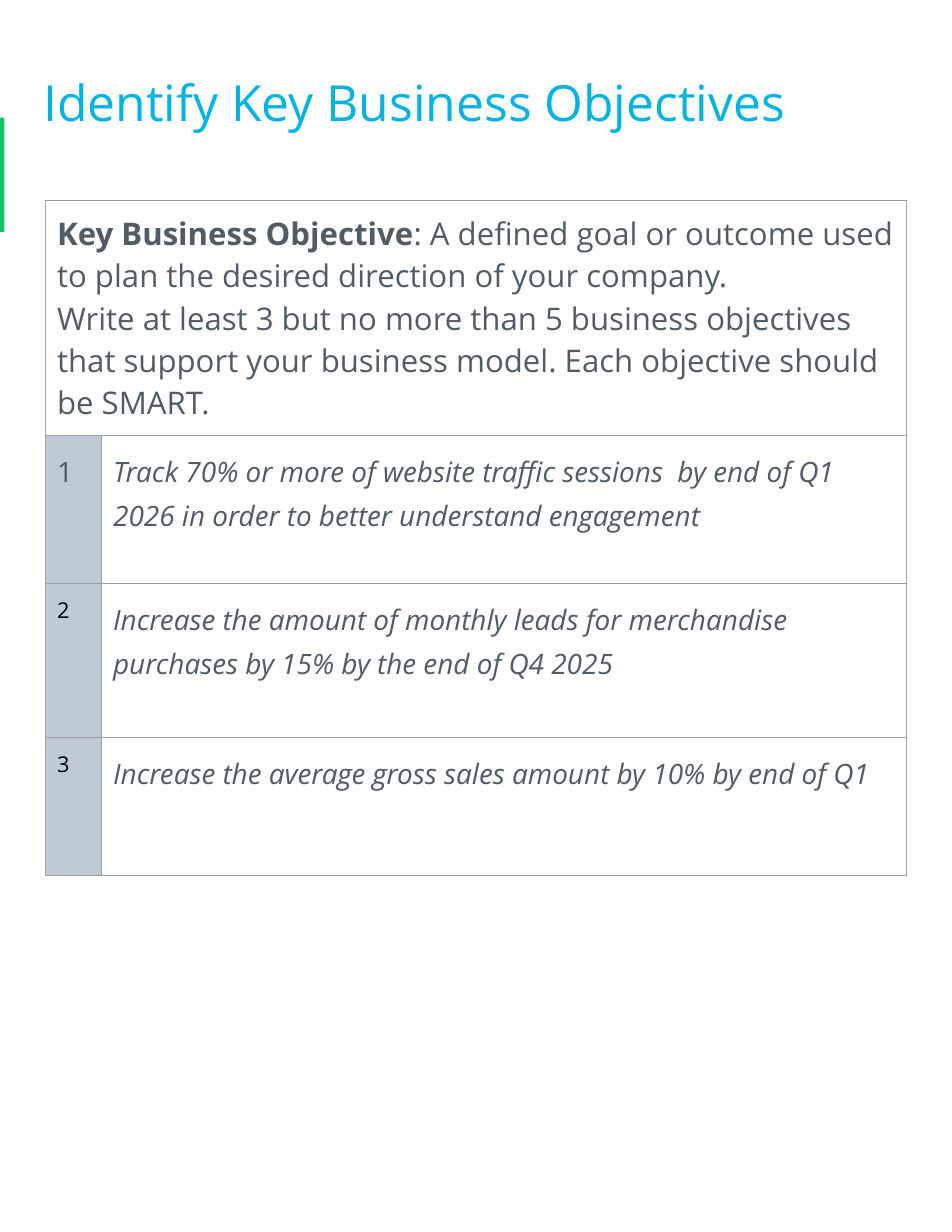
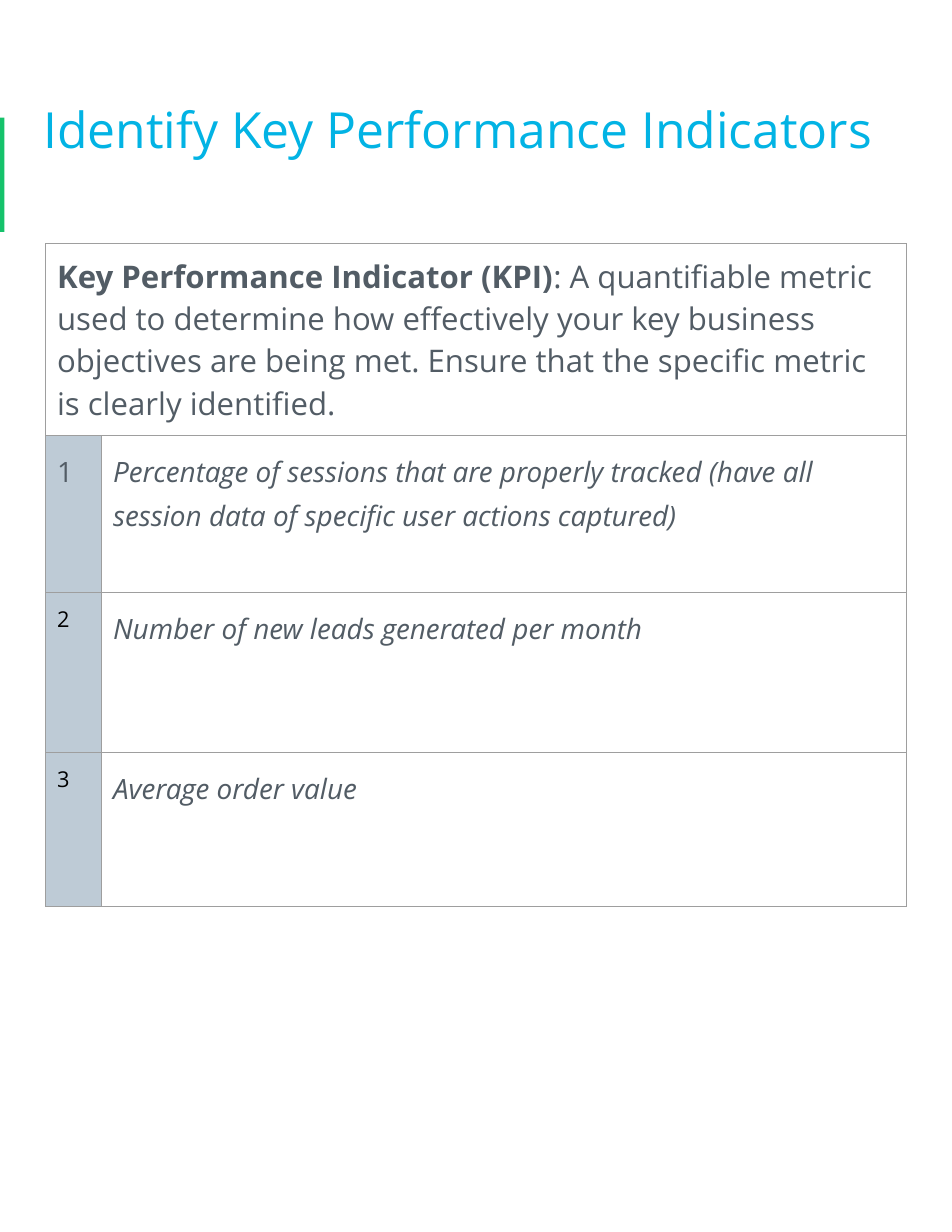
from lxml.etree import SubElement
from pptx import Presentation
from pptx.dml.color import RGBColor
from pptx.enum.shapes import MSO_SHAPE
from pptx.enum.text import MSO_ANCHOR
from pptx.oxml.ns import qn
from pptx.util import Inches, Pt

COLORS = {"title": "02B3E4", "accent": "15C26B", "text": "525C65",
          "number": "000000", "band": "BECBD6", "border": "9E9E9E"}
COLUMNS, ROWS = 85, 110
NUMBER_WIDTH, TEXT_WIDTH = 5, 71.8

WORKSHEETS = [
    {"title": "Identify Key Business Objectives", "title_top": 2.6,
     "table_top": 17.9, "heights": [21, 13.2, 13.75, 12.35],
     "term": "Key Business Objective",
     "definition": [
         ": A defined goal or outcome used to plan the desired direction of your company.",
         "Write at least 3 but no more than 5 business objectives that support your "
         "business model. Each objective should be SMART."],
     "answers": [
         "Track 70% or more of website traffic sessions  by end of Q1 2026 in order "
         "to better understand engagement",
         "Increase the amount of monthly leads for merchandise purchases by 15% by "
         "the end of Q4 2025",
         "Increase the average gross sales amount by 10% by end of Q1"]},
    {"title": "Identify Key Performance Indicators", "title_top": 5,
     "table_top": 21.75, "heights": [17.15, 14, 14.3, 13.75],
     "term": "Key Performance Indicator (KPI)",
     "definition": [
         ": A quantifiable metric used to determine how effectively your key business "
         "objectives are being met. Ensure that the specific metric is clearly identified."],
     "answers": [
         "Percentage of sessions that are properly tracked (have all session data of "
         "specific user actions captured)",
         "Number of new leads generated per month",
         "Average order value"]},
]


class Worksheet:
    """Holds the shared style and draws on the current slide."""

    font = "Open Sans"
    inset = Inches(0.1)

    def __init__(self, deck):
        self.deck = deck
        self.page = None

    def place(self, left, top, width, height):
        """Turn grid columns and rows into lengths."""
        across, down = self.deck.slide_width / COLUMNS, self.deck.slide_height / ROWS
        return [round(value * unit) for value, unit in
                zip((left, top, width, height), (across, down) * 2)]

    def new_page(self):
        """Start a slide with the accent bar at its left edge."""
        self.page = self.deck.slides.add_slide(self.deck.slide_layouts[6])
        bar = self.page.shapes.add_shape(MSO_SHAPE.RECTANGLE, *self.place(0, 10.5, 0.4, 10.2))
        bar.shadow.inherit = False
        bar.fill.solid()
        bar.fill.fore_color.rgb = RGBColor.from_string(COLORS["accent"])
        bar.line.fill.background()

    def style(self, para, size, color, spacing=1.0, italic=False):
        """Format every run of a paragraph."""
        para.line_spacing = spacing
        for span in para.runs:
            span.font.name = self.font
            span.font.size = Pt(size)
            span.font.italic = italic
            span.font.color.rgb = RGBColor.from_string(COLORS[color])

    def title(self, text, top):
        """Add the slide title."""
        box = self.page.shapes.add_textbox(*self.place(2.9, top, 79.2, 12.2))
        frame = box.text_frame
        frame.word_wrap = True
        frame.vertical_anchor = MSO_ANCHOR.MIDDLE
        frame.margin_left = frame.margin_right = self.inset
        frame.margin_top = frame.margin_bottom = self.inset
        frame.text = text
        self.style(frame.paragraphs[0], 32, "title", 1.15)

    def prepare(self, cell, fill=None):
        """Set the margins, borders and fill of a cell."""
        cell.margin_left = cell.margin_right = self.inset
        cell.margin_top = cell.margin_bottom = self.inset
        properties = cell._tc.get_or_add_tcPr()
        for side in "LRTB":
            line = SubElement(properties, qn(f"a:ln{side}"), w=str(Pt(0.75)))
            SubElement(SubElement(line, qn("a:solidFill")), qn("a:srgbClr"), val=COLORS["border"])
        if fill:
            cell.fill.solid()
            cell.fill.fore_color.rgb = RGBColor.from_string(COLORS[fill])
        else:
            cell.fill.background()

    def definition(self, cell, term, lines):
        """Write a bold term followed by its definition."""
        cell.vertical_anchor = MSO_ANCHOR.MIDDLE
        para = cell.text_frame.paragraphs[0]
        para.text = term
        para.runs[0].font.bold = True
        for index, line in enumerate(lines):
            if index:
                para.add_line_break()
            para.add_run().text = line
        self.style(para, 20, "text")

    def table(self, top, heights, term, definition, answers):
        """Add the definition row and the numbered answers."""
        area = self.place(4.1, top, NUMBER_WIDTH + TEXT_WIDTH, sum(heights))
        table = self.page.shapes.add_table(len(heights), 2, *area).table
        table.first_row = table.horz_banding = False
        for column, width in zip(table.columns, (NUMBER_WIDTH, TEXT_WIDTH)):
            column.width = self.place(0, 0, width, 0)[2]
        for row, height in zip(table.rows, heights):
            row.height = self.place(0, 0, 0, height)[3]
        heading, rest = table.cell(0, 0), table.cell(0, 1)
        heading.merge(rest)
        self.prepare(heading)
        self.prepare(rest)
        self.definition(heading, term, definition)
        for number, answer in enumerate(answers, 1):
            label, entry = table.cell(number, 0), table.cell(number, 1)
            self.prepare(label, "band")
            self.prepare(entry)
            label.text_frame.text = str(number)
            entry.text_frame.text = answer
            look = (18, "text", 1.15) if number == 1 else (14, "number")
            self.style(label.text_frame.paragraphs[0], *look)
            self.style(entry.text_frame.paragraphs[0], 18, "text", 1.15, italic=True)


def main():
    """Build and save the deck."""
    deck = Presentation()
    deck.slide_width, deck.slide_height = Inches(8.5), Inches(11)
    sheet = Worksheet(deck)
    for content in WORKSHEETS:
        sheet.new_page()
        sheet.title(content["title"], content["title_top"])
        sheet.table(content["table_top"], content["heights"], content["term"],
                    content["definition"], content["answers"])
    deck.save("out.pptx")


if __name__ == "__main__":
    main()
